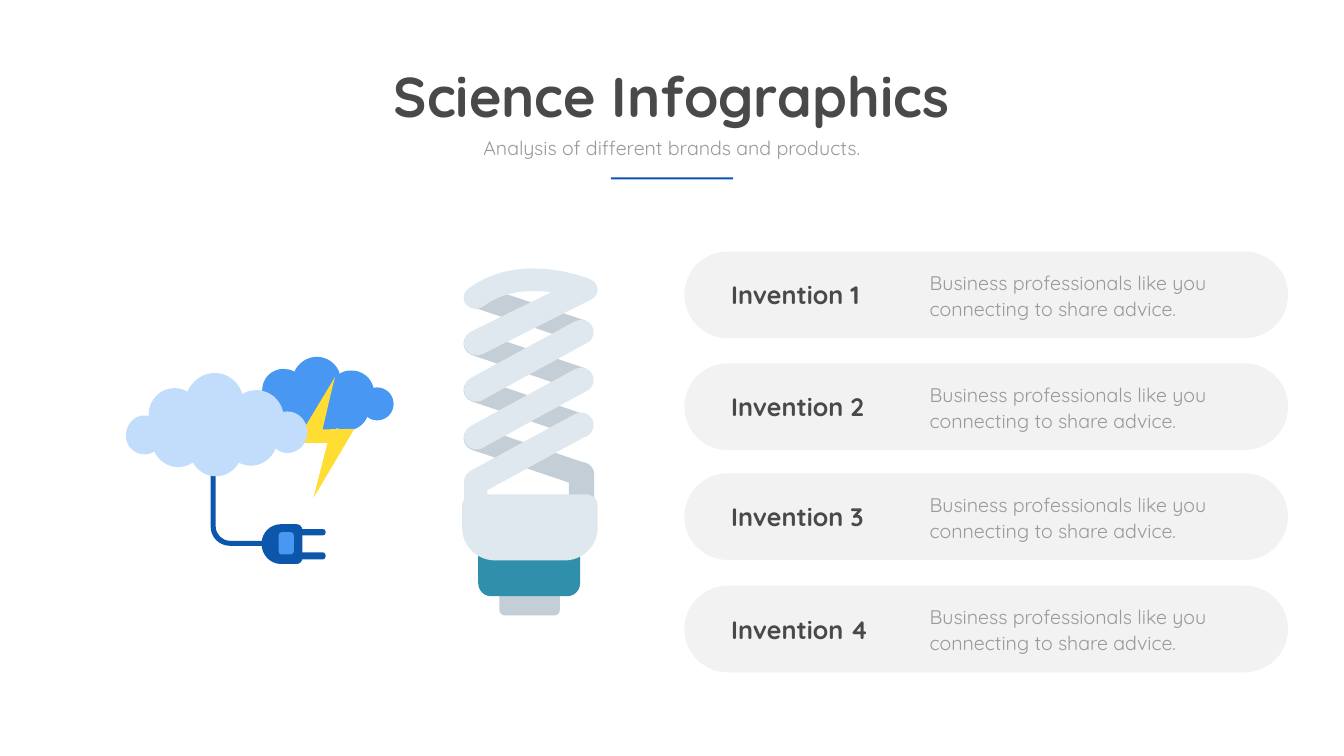
from lxml.etree import SubElement
from pptx import Presentation
from pptx.dml.color import RGBColor
from pptx.enum.shapes import MSO_SHAPE
from pptx.enum.text import MSO_AUTO_SIZE, PP_ALIGN
from pptx.oxml.ns import qn
from pptx.util import Pt

PX = 9144  # 100 px to the inch
NAVY, BLUE, SKY = "0C56AB", "4897F2", "C2DCFB"
GLASS, SHADE, TEAL, YELLOW = "DFE8EF", "C4CED6", "308FAB", "FFDD33"
DARK, GREY = "494949", "999999"
TOPS = (499, 721, 939, 1162)

deck = Presentation()
deck.slide_width, deck.slide_height = 2667 * PX, 1500 * PX
slide = deck.slides.add_slide(deck.slide_layouts[6])
shapes = slide.shapes


def paint(shape, color):
    shape.fill.solid()
    shape.fill.fore_color.rgb = RGBColor.from_string(color)
    shape.line.fill.background()
    shape.shadow.inherit = False


def trace(path, box, color):
    """Fit a path to a box; each part is one point (line) or three (Bezier)."""
    parts = [[tuple(map(int, pair.split(","))) for pair in part.split()]
             for part in path.split(";")]
    points = [point for part in parts for point in part]
    pen = shapes.build_freeform(*points[0], scale=PX)
    pen.add_line_segments(points[1:], close=True)
    shape = pen.convert_to_shape()
    lines = iter(shape._element.findall(".//" + qn("a:lnTo")))
    for part in parts[1:]:
        line = next(lines)
        if len(part) == 3:
            line.tag = qn("a:cubicBezTo")
            for _ in range(2):
                extra = next(lines)
                line.append(extra[0])
                extra.getparent().remove(extra)
    shape.left, shape.top, shape.width, shape.height = (n * PX for n in box)
    paint(shape, color)


# Cards
for top in TOPS:
    card = shapes.add_shape(MSO_SHAPE.ROUNDED_RECTANGLE,
                            1358 * PX, top * PX, 1198 * PX, 172 * PX)
    card.adjustments[0] = 0.5
    paint(card, "808080")
    tint = card._element.spPr.find(qn("a:solidFill")).find(qn("a:srgbClr"))
    SubElement(tint, qn("a:alpha"), val="10000")

# Texts: words, box, size, colour, bold, align, line spacing, wrap
texts = [
    ("Science Infographics", (749, 117, 1167, 145), 80, DARK, True,
     PP_ALIGN.CENTER, None, False),
    ("Analysis of different brands and products.", (855, 265, 956, 57), 28, GREY,
     False, PP_ALIGN.CENTER, None, True),
]
for num, top in enumerate(TOPS, 1):
    texts += [
        (f"Invention {num}", (1441, top + 51, 394, 71), 36, DARK, True,
         PP_ALIGN.LEFT, None, True),
        ("Business professionals like you connecting to share advice.",
         (1835, top + 30, 616, 113), 28, GREY, False, PP_ALIGN.LEFT, Pt(36.6), True),
    ]
for words, box, size, color, bold, align, space, wrap in texts:
    frame = shapes.add_textbox(*(n * PX for n in box)).text_frame
    frame.word_wrap = wrap
    frame.auto_size = MSO_AUTO_SIZE.SHAPE_TO_FIT_TEXT
    para = frame.paragraphs[0]
    para.text = words
    para.alignment = align
    if space:
        para.line_spacing = space
    para.font.name = "Quicksand"
    para.font.size = Pt(size)
    para.font.bold = bold
    para.font.color.rgb = RGBColor.from_string(color)

# Outlines
cloud = (
    "570,816; 568,816 564,817 562,817; 556,792 535,774 509,774;"
    "499,774 489,776 481,782; 474,758 452,740 426,740; 402,740 381,756 372,777;"
    "364,772 355,770 346,770; 318,770 295,793 295,822; 295,823 295,824 295,825;"
    "288,823 279,824 272,827; 253,837 245,859 253,879; 262,898 284,906 303,897;"
    "304,897 306,896 306,895; 315,913 333,926 354,926; 364,926 374,922 383,917;"
    "392,933 409,944 428,944; 448,944 465,933 474,917; 481,921 489,923 498,923;"
    "520,923 539,909 547,889; 554,895 562,898 570,898; 592,898 610,880 610,857;"
    "610,834 592,816 570,816")
bolt = ("703,851; 640,852; 647,825 655,785 665,748; 586,879;"
        "606,879 636,879 650,879; 622,988; 622,988 697,862 703,851")
wire = ("553,1083; 456,1083; 435,1083 418,1066 418,1045; 418,869;"
        "418,865 420,863 423,863; 426,863 428,865 428,869; 428,1045;"
        "428,1060 441,1073 456,1073; 553,1073; 556,1073 558,1076 558,1078;"
        "558,1081 556,1083 553,1083")
plug = ("588,1040; 558,1040; 536,1040 519,1057 519,1079; 519,1101 536,1119 558,1119;"
        "588,1119; 595,1119 600,1114 600,1107; 600,1052; 600,1045 595,1040 588,1040")
back = ("1160,730; 952,660; 940,655 926,662 921,674; 917,686 924,700 936,704;"
        "1144,774; 1156,778 1169,772 1174,760; 1178,748 1172,735 1160,730")
front = ("1165,864; 959,976; 947,984 931,980 924,968; 917,956 921,941 933,934;"
         "1140,822; 1152,815 1167,818 1174,830; 1182,842 1178,858 1165,864")
brow = ("1172,594; 959,701; 947,708 931,704 924,692; 917,681 921,665 933,658;"
        "1132,561; 1144,554 1152,553 1159,565; 1167,576 1185,587 1172,594")
crown = ("1172,554; 1166,552 1032,496 928,573; 919,580 917,595 925,604;"
         "930,609 936,612 943,612; 948,612 954,610 959,607;"
         "1038,548 1150,593 1152,594; 1164,599 1178,595 1184,583;"
         "1189,572 1184,559 1172,554")
for path, box, color in (
    (cloud, (479, 708, 302, 163), BLUE),
    (bolt, (586, 748, 117, 240), YELLOW),
    (wire, (418, 863, 141, 220), NAVY),
    (plug, (519, 1040, 81, 79), NAVY),
    (cloud, (245, 740, 365, 205), SKY),
    (back, (917, 655, 262, 124), SHADE),
    (back, (924, 563, 255, 120), SHADE),
    (back, (917, 747, 262, 124), SHADE),
    (back, (917, 843, 262, 124), SHADE),
    (front, (917, 815, 265, 170), GLASS),
    (front, (917, 726, 265, 170), GLASS),
    (front, (917, 631, 265, 170), GLASS),
    (brow, (917, 553, 269, 156), GLASS),
    (crown, (917, 496, 272, 117), GLASS),
):
    trace(path, box, color)

# Plain parts: title rule, plug pins and window, bulb legs, tip, socket, ballast
ROUND, CUP = MSO_SHAPE.ROUNDED_RECTANGLE, MSO_SHAPE.ROUND_2_SAME_RECTANGLE
for kind, box, color, curves in (
    (MSO_SHAPE.RECTANGLE, (1212, 352, 243, 4), NAVY, ()),
    (ROUND, (592, 1050, 54, 12), NAVY, (0.4,)),
    (ROUND, (592, 1096, 54, 14), NAVY, (0.4,)),
    (ROUND, (553, 1056, 30, 44), BLUE, (0.2,)),
    (ROUND, (1129, 917, 50, 131), SHADE, (0.48,)),
    (ROUND, (921, 942, 46, 106), GLASS, (0.48,)),
    (ROUND, (991, 1154, 120, 67), SHADE, (0.16,)),
    (CUP, (949, 1098, 202, 85), TEAL, (0, 0.3)),
    (CUP, (917, 981, 269, 131), GLASS, (0.17, 0.5)),
):
    part = shapes.add_shape(kind, *(n * PX for n in box))
    for i, curve in enumerate(curves):
        part.adjustments[i] = curve
    paint(part, color)

deck.save("out.pptx")
